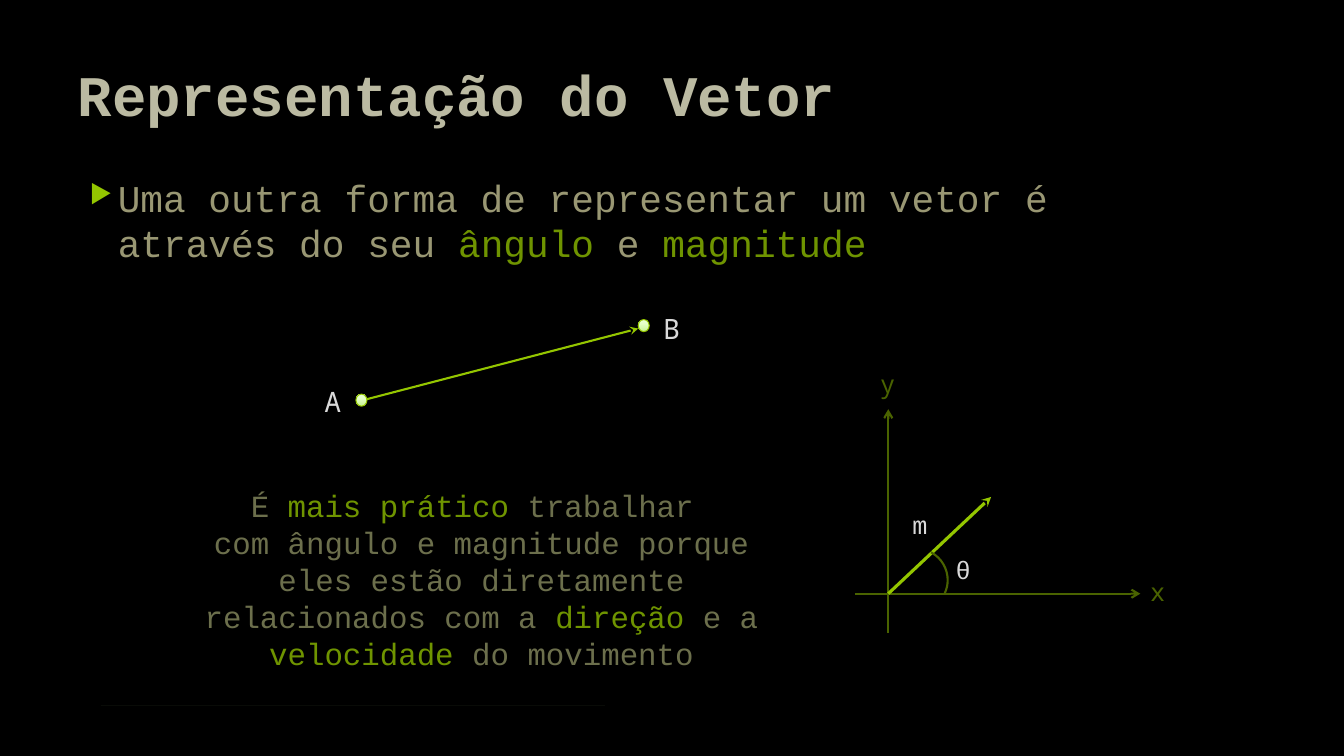
from dataclasses import dataclass

from lxml import etree
from pptx import Presentation
from pptx.dml.color import RGBColor
from pptx.enum.dml import MSO_LINE
from pptx.enum.shapes import MSO_CONNECTOR, MSO_SHAPE
from pptx.enum.text import MSO_ANCHOR, MSO_AUTO_SIZE, PP_ALIGN
from pptx.oxml import parse_xml
from pptx.oxml.ns import nsdecls, qn
from pptx.util import Inches, Pt

SOLID = MSO_LINE.SOLID
STRAIGHT = MSO_CONNECTOR.STRAIGHT
ARC, OVAL = MSO_SHAPE.ARC, MSO_SHAPE.OVAL
MIDDLE = MSO_ANCHOR.MIDDLE
FIT_SHAPE, FIT_NONE = MSO_AUTO_SIZE.SHAPE_TO_FIT_TEXT, MSO_AUTO_SIZE.NONE
LEFT, CENTER = PP_ALIGN.LEFT, PP_ALIGN.CENTER

BLACK = RGBColor(0x00, 0x00, 0x00)
TITLE_COLOR = RGBColor(0xBB, 0xBA, 0xA2)
BODY_COLOR = RGBColor(0x99, 0x97, 0x73)
NOTE_COLOR = RGBColor(0x6C, 0x6F, 0x4C)
ACCENT = RGBColor(0x6F, 0x94, 0x00)
LIME = RGBColor(0x94, 0xC6, 0x00)
AXIS_COLOR = RGBColor(0x4A, 0x63, 0x00)
LABEL_COLOR = RGBColor(0xD9, 0xD9, 0xD9)
WEDGE_COLOR = RGBColor(0xC3, 0xE1, 0x9D)

COURIER, NOTO = "Courier New", "Noto Sans Mono"
DOT_STOPS = ((0, "C8F492"), (65, "E5FFC7"), (100, "ECFFD8"))
DOT_WIDTH, DOT_HEIGHT = 0.11, 0.12
ORIGIN = (8.81, 5.89)


@dataclass
class Arrow:
    start: tuple[float, float]
    end: tuple[float, float]
    color: RGBColor
    weight: float
    head: str


@dataclass
class Label:
    text: str
    left: float
    top: float
    width: float
    height: float
    size: int
    font: str
    color: RGBColor


@dataclass
class Span:
    text: str
    color: RGBColor


ARROWS = [
    Arrow((ORIGIN[0], 6.28), (ORIGIN[0], 4.06), AXIS_COLOR, 1.5, "arrow"),
    Arrow((8.48, ORIGIN[1]), (11.31, ORIGIN[1]), AXIS_COLOR, 1.5, "arrow"),
    Arrow(ORIGIN, (9.83, 4.93), LIME, 2.25, "stealth"),
    Arrow((3.64, 3.96), (6.33, 3.26), LIME, 1.5, "stealth"),
]
LABELS = [
    Label("y", 8.63, 3.6, 0.34, 0.4, 18, NOTO, AXIS_COLOR),
    Label("θ", 9.38, 5.45, 0.36, 0.4, 18, COURIER, LABEL_COLOR),
    Label("m", 8.95, 5, 0.44, 0.4, 18, COURIER, LABEL_COLOR),
    Label("x", 11.31, 5.67, 0.34, 0.4, 18, NOTO, AXIS_COLOR),
    Label("B", 6.48, 3.04, 0.36, 0.44, 20, NOTO, LABEL_COLOR),
    Label("A", 3.12, 3.77, 0.36, 0.44, 20, NOTO, LABEL_COLOR),
]
DOTS = [(6.33, 3.17), (3.53, 3.91)]
BODY_SPANS = [
    Span("Uma outra forma de representar um vetor é \natravés do seu ", BODY_COLOR),
    Span("ângulo", ACCENT),
    Span(" e ", BODY_COLOR),
    Span("magnitude", ACCENT),
]
NOTE_SPANS = [
    Span("É ", NOTE_COLOR),
    Span("mais prático ", ACCENT),
    Span("trabalhar \ncom ângulo e magnitude porque eles estão diretamente "
         "relacionados com a ", NOTE_COLOR),
    Span("direção", ACCENT),
    Span(" e a ", NOTE_COLOR),
    Span("velocidade", ACCENT),
    Span(" do movimento", NOTE_COLOR),
]


def add_spans(para, spans: list[Span], size: float, font: str, bold: bool = False) -> None:
    for span in spans:
        for number, line in enumerate(span.text.split("\n")):
            if number:
                para.add_line_break()
            run = para.add_run()
            run.text = line
            run.font.size = Pt(size)
            run.font.name = font
            run.font.bold = bold
            run.font.color.rgb = span.color


def add_text(page, left: float, top: float, width: float, height: float,
             wrap: bool = True, fit=FIT_SHAPE, align=LEFT):
    box = page.shapes.add_textbox(Inches(left), Inches(top), Inches(width), Inches(height))
    box.text_frame.word_wrap = wrap
    box.text_frame.auto_size = fit
    para = box.text_frame.paragraphs[0]
    para.alignment = align
    return para


def set_indent(para, margin: float, first: float) -> None:
    props = para._p.get_or_add_pPr()
    props.set("marL", str(Inches(margin)))
    props.set("indent", str(Inches(first)))


def add_bullet(para, symbol: str, color: RGBColor, percent: int) -> None:
    props = para._p.get_or_add_pPr()
    bullet_color = etree.SubElement(props, qn("a:buClr"))
    etree.SubElement(bullet_color, qn("a:srgbClr"), val=str(color))
    etree.SubElement(props, qn("a:buSzPct"), val=str(percent * 1000))
    etree.SubElement(props, qn("a:buChar"), char=symbol)


def add_arrow(page, arrow: Arrow) -> None:
    ends = [Inches(value) for value in (*arrow.start, *arrow.end)]
    connector = page.shapes.add_connector(STRAIGHT, *ends)
    connector.line.color.rgb = arrow.color
    connector.line.width = Pt(arrow.weight)
    connector.line.dash_style = SOLID
    etree.SubElement(connector.line._get_or_add_ln(), qn("a:tailEnd"), type=arrow.head)
    etree.SubElement(connector._element.spPr, qn("a:effectLst"))


def add_dot(page, left: float, top: float) -> None:
    dot = page.shapes.add_shape(OVAL, Inches(left), Inches(top),
                                Inches(DOT_WIDTH), Inches(DOT_HEIGHT))
    dot.shadow.inherit = False
    dot.line.color.rgb = LIME
    dot.line.width = Pt(0.75)
    stops = "".join(f'<a:gs pos="{pos * 1000}"><a:srgbClr val="{color}"/></a:gs>'
                    for pos, color in DOT_STOPS)
    gradient = parse_xml(f'<a:gradFill {nsdecls("a")}><a:gsLst>{stops}</a:gsLst>'
                         '<a:lin ang="16200000" scaled="0"/></a:gradFill>')
    dot._element.spPr.find(qn("a:prstGeom")).addnext(gradient)


def add_wedge(page, points: list[tuple[float, float]], color: RGBColor):
    builder = page.shapes.build_freeform(*points[0], scale=Inches(1))
    builder.add_line_segments(points[1:], close=True)
    wedge = builder.convert_to_shape()
    wedge.shadow.inherit = False
    wedge.fill.solid()
    wedge.fill.fore_color.rgb = color
    wedge.line.fill.background()
    return wedge


def main() -> None:
    deck = Presentation()
    deck.slide_width, deck.slide_height = Inches(13.33), Inches(7.5)
    page = deck.slides.add_slide(deck.slide_layouts[5])
    page.background.fill.solid()
    page.background.fill.fore_color.rgb = BLACK

    # Corner wedges
    light = add_wedge(page, [(0.87, 6.7), (6.12, 7.49), (4.76, 7.49)], WEDGE_COLOR)
    tint = light._element.spPr.find(qn("a:solidFill")).find(qn("a:srgbClr"))
    etree.SubElement(tint, qn("a:alpha"), val="40000")
    add_wedge(page, [(0.84, 6.72), (4.76, 7.49), (3.94, 7.49), (0.85, 6.72)], BLACK)

    # Title
    title = page.shapes.title
    title.left, title.top = Inches(0.67), Inches(0.3)
    title.width, title.height = Inches(12), Inches(1.25)
    title.text_frame.vertical_anchor = MIDDLE
    title.text_frame.auto_size = FIT_NONE
    para = title.text_frame.paragraphs[0]
    para.alignment = LEFT
    add_spans(para, [Span("Representação do Vetor", TITLE_COLOR)], 41, COURIER, bold=True)

    # Body and note
    para = add_text(page, 0.67, 1.68, 12, 5.61, fit=FIT_NONE)
    set_indent(para, 0.4, -0.28)
    add_bullet(para, "▶", LIME, 68)
    add_spans(para, BODY_SPANS, 27, COURIER)
    para = add_text(page, 1.34, 4.78, 6.37, 1.58, align=CENTER)
    set_indent(para, 0.5, 0)
    add_spans(para, NOTE_SPANS, 22, COURIER)

    # Vector diagrams
    for arrow in ARROWS:
        add_arrow(page, arrow)
    angle = page.shapes.add_shape(ARC, Inches(8.76), Inches(5.44), Inches(0.64), Inches(0.63))
    angle.shadow.inherit = False
    angle.fill.background()
    angle.line.color.rgb = AXIS_COLOR
    angle.line.width = Pt(1.5)
    angle.adjustments[0], angle.adjustments[1] = 179.52, 14.45
    for left, top in DOTS:
        add_dot(page, left, top)
    for label in LABELS:
        para = add_text(page, label.left, label.top, label.width, label.height, wrap=False)
        add_spans(para, [Span(label.text, label.color)], label.size, label.font)

    deck.save("out.pptx")


if __name__ == "__main__":
    main()
